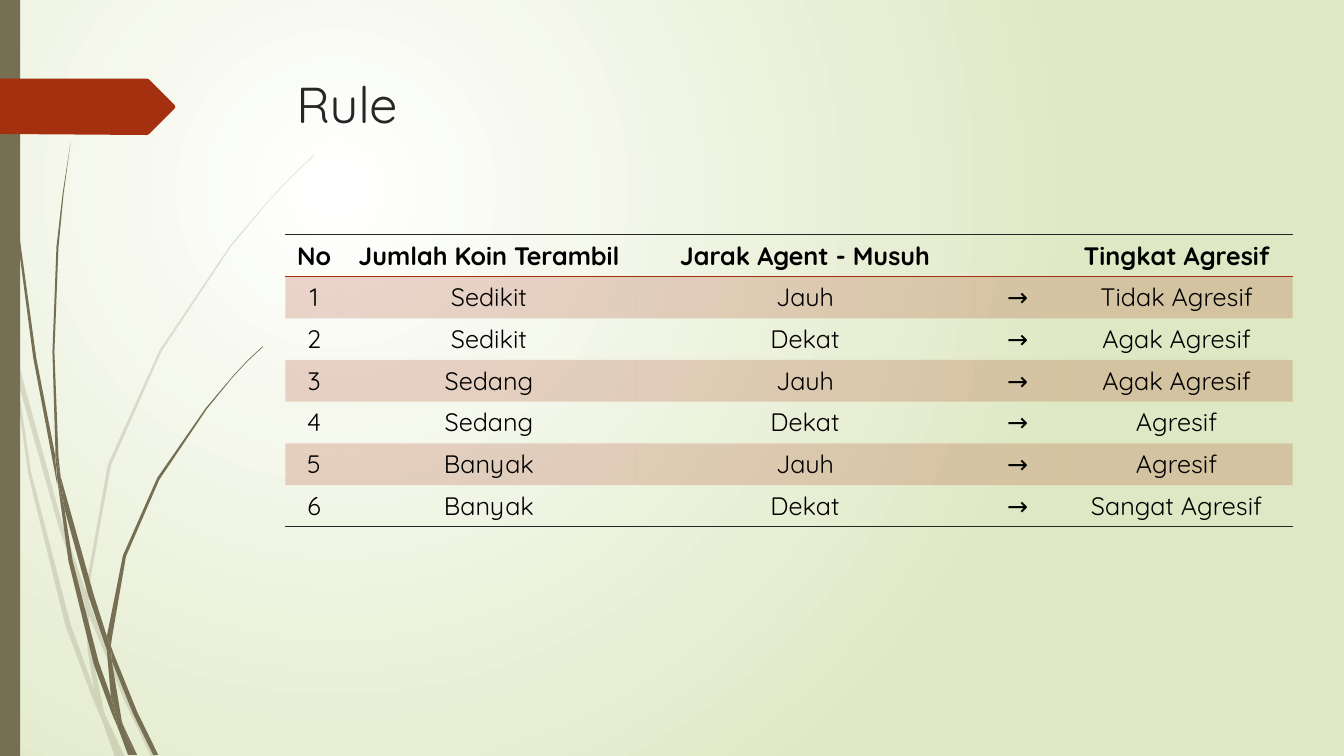
from dataclasses import dataclass

from pptx import Presentation
from pptx.dml.color import RGBColor
from pptx.enum.shapes import MSO_SHAPE
from pptx.enum.text import MSO_ANCHOR, PP_ALIGN
from pptx.oxml import parse_xml
from pptx.oxml.ns import nsdecls, qn
from pptx.shapes.autoshape import Shape
from pptx.slide import Slide
from pptx.table import _Cell
from pptx.util import Inches, Pt
from lxml import etree

RECTANGLE = MSO_SHAPE.RECTANGLE
TOP, MIDDLE = MSO_ANCHOR.TOP, MSO_ANCHOR.MIDDLE
LEFT, CENTER = PP_ALIGN.LEFT, PP_ALIGN.CENTER
PLAIN_TABLE_STYLE = "{2D5ABB26-0587-4C30-8999-92F81FD0307C}"


@dataclass(frozen=True)
class Theme:
    font: str = "Quicksand"
    title_size: int = 36
    table_size: int = 18
    title: str = "262626"
    text: str = "000000"
    accent: str = "A53010"
    rule: str = "262626"
    grass: str = "766F54"
    glow: str = "FFFFFF"
    meadow: str = "DFE8C4"
    faint: int = 20


@dataclass(frozen=True)
class Outline:
    points: tuple[tuple[float, float], ...]
    color: str
    opacity: int = 100


THEME = Theme()

PALE_BLADES = (
    ((0.11, 3.5), (0.09, 3.22), (0, 2.82), (0, 2.99), (0.1, 3.44)),
    ((0.58, 5.22), (0.84, 5.99), (0.85, 5.86), (0.62, 5.2), (0.14, 3.45), (0.17, 3.76)),
    ((0.92, 6.07), (0.88, 5.96), (0.88, 6.1), (1.23, 6.94), (1.5, 7.51), (1.55, 7.51),
     (1.27, 6.92)),
    ((1.19, 7.51), (1.24, 7.51), (1.05, 7.11)),
    ((0.93, 6.83), (0.7, 6.19), (0.31, 4.69), (0.17, 3.76), (0.11, 3.5), (0.28, 4.7),
     (0.65, 6.21), (0.92, 6.93), (1.01, 7.14), (0.99, 7.07)),
    ((0.84, 5.99), (0.87, 6.46), (0.93, 6.83), (0.96, 6.92), (1.05, 7.11), (1.03, 7.06),
     (0.91, 6.46), (0.88, 6.1), (0.88, 6.08)),
    ((0.88, 5.84), (1.1, 4.62), (1.6, 3.49), (2.29, 2.45), (2.68, 1.98), (2.9, 1.75),
     (3.12, 1.54), (3.12, 1.53), (2.89, 1.75), (2.68, 1.97), (2.28, 2.44), (1.58, 3.48),
     (1.07, 4.61), (0.85, 5.84), (0.85, 5.86), (0.88, 5.96)),
    ((1.01, 7.14), (1.14, 7.51), (1.19, 7.51)),
    ((0.88, 6.08), (0.88, 6.1), (0.88, 5.96), (0.85, 5.86), (0.84, 5.99)),
    ((0.96, 6.92), (0.93, 6.83), (0.99, 7.07), (1.01, 7.14), (1.19, 7.51), (1.05, 7.11)),
)
DARK_BLADES = (
    ((0.07, 1.1), (0.17, 2.33), (0.33, 3.55), (0.56, 4.77), (0.57, 4.81), (0.55, 4.57),
     (0.55, 4.53), (0.36, 3.55), (0.19, 2.32), (0.08, 1.09), (0.05, 0.48), (0.04, 0),
     (0.03, 0), (0.04, 0.48)),
    ((0.88, 5.92), (1.06, 6.45), (1.06, 6.31), (0.93, 5.9), (0.6, 4.72), (0.64, 5.05)),
    ((1.13, 6.49), (1.1, 6.41), (1.11, 6.56), (1.32, 7.08), (1.52, 7.49), (1.57, 7.49),
     (1.36, 7.06)),
    ((1.1, 6.91), (0.98, 6.57), (0.72, 5.56), (0.64, 5.05), (0.57, 4.77), (0.68, 5.57),
     (0.93, 6.59), (1.11, 7.08), (1.17, 7.22), (1.16, 7.17)),
    ((0.6, 4.72), (0.58, 4.53), (0.54, 3.49), (0.58, 2.45), (0.63, 1.93), (0.7, 1.41),
     (0.62, 1.93), (0.56, 2.45), (0.52, 3.49), (0.55, 4.49)),
    ((1.33, 7.49), (1.36, 7.49), (1.22, 7.19)),
    ((0.57, 4.77), (0.64, 5.05), (0.6, 4.72), (0.55, 4.49), (0.55, 4.53)),
    ((1.11, 6.33), (1.25, 5.52), (1.58, 4.76), (2.05, 4.06), (2.31, 3.74), (2.45, 3.59),
     (2.61, 3.44), (2.6, 3.44), (2.45, 3.58), (2.31, 3.73), (2.04, 4.05), (1.56, 4.74),
     (1.22, 5.51), (1.06, 6.31), (1.1, 6.41)),
    ((1.17, 7.22), (1.27, 7.49), (1.31, 7.49)),
    ((1.06, 6.45), (1.1, 6.91), (1.16, 7.06), (1.22, 7.19), (1.21, 7.16), (1.11, 6.56),
     (1.09, 6.51)),
    ((1.06, 6.45), (1.09, 6.51), (1.11, 6.56), (1.1, 6.41), (1.06, 6.31)),
    ((1.16, 7.06), (1.1, 6.91), (1.16, 7.17), (1.17, 7.22), (1.3, 7.49), (1.33, 7.49),
     (1.22, 7.19)),
)
TAG = ((0, 0.78), (1.46, 0.78), (1.48, 0.79), (1.73, 1.04), (1.74, 1.06), (1.73, 1.08),
       (1.48, 1.33), (1.46, 1.34), (0, 1.33))

HEADER = ("No", "Jumlah Koin Terambil", "Jarak Agent - Musuh", "", "Tingkat Agresif")
RULES = (
    ("Sedikit", "Jauh", "Tidak Agresif"),
    ("Sedikit", "Dekat", "Agak Agresif"),
    ("Sedang", "Jauh", "Agak Agresif"),
    ("Sedang", "Dekat", "Agresif"),
    ("Banyak", "Jauh", "Agresif"),
    ("Banyak", "Dekat", "Sangat Agresif"),
)
COLUMN_WIDTHS = (0.57, 2.9, 3.37, 0.85, 2.3)
ROW_HEIGHT = 0.41


def set_opacity(element: etree._Element, percent: int) -> None:
    for color in element.iter(qn("a:srgbClr")):
        etree.SubElement(color, qn("a:alpha"), val=str(percent * 1000))


def paint(shape: Shape, color: str) -> None:
    shape.shadow.inherit = False
    shape.fill.solid()
    shape.fill.fore_color.rgb = RGBColor.from_string(color)
    shape.line.fill.background()


def draw_outline(page: Slide, outline: Outline) -> None:
    start, *rest = [(Inches(x), Inches(y)) for x, y in outline.points]
    builder = page.shapes.build_freeform(*start)
    builder.add_line_segments(rest, close=True)
    shape = builder.convert_to_shape()
    paint(shape, outline.color)
    if outline.opacity < 100:
        set_opacity(shape.element, outline.opacity)


def draw_background(page: Slide) -> None:
    fill = page.background.fill
    fill.gradient()
    for stop, position, color in zip(fill.gradient_stops, (0, 1), (THEME.glow, THEME.meadow)):
        stop.position = position
        stop.color.rgb = RGBColor.from_string(color)
    linear = next(page.element.iter(qn("a:lin")))
    linear.getparent().replace(linear, parse_xml(
        f'<a:path {nsdecls("a")} path="circle">'
        '<a:fillToRect l="50000" t="50000" r="100000" b="100000"/></a:path>'))


def draw_title(page: Slide, text: str) -> None:
    title = page.shapes.title
    title.left, title.top = Inches(2.84), Inches(0.68)
    title.width, title.height = Inches(9.75), Inches(1.4)
    frame = title.text_frame
    frame.text = text
    frame.vertical_anchor = TOP
    para = frame.paragraphs[0]
    para.alignment = LEFT
    font = para.runs[0].font
    font.name, font.size = THEME.font, Pt(THEME.title_size)
    font.color.rgb = RGBColor.from_string(THEME.title)


def set_border(cell: _Cell, side: str, color: str) -> None:
    properties = cell._tc.get_or_add_tcPr()
    position = len(properties.findall(qn("a:lnT")))
    properties.insert(position, parse_xml(
        f'<a:{side} {nsdecls("a")} w="{Pt(1)}"><a:solidFill>'
        f'<a:srgbClr val="{color}"/></a:solidFill></a:{side}>'))


def fill_cell(cell: _Cell, text: str, bold: bool, banded: bool) -> None:
    cell.text = text
    cell.margin_left = cell.margin_right = Inches(0.08)
    cell.margin_top = cell.margin_bottom = Inches(0.05)
    cell.vertical_anchor = MIDDLE
    para = cell.text_frame.paragraphs[0]
    para.alignment = CENTER
    para.font.size = Pt(THEME.table_size)
    for span in para.runs:
        span.font.name, span.font.size, span.font.bold = THEME.font, Pt(THEME.table_size), bold
        span.font.color.rgb = RGBColor.from_string(THEME.text)
    if banded:
        cell.fill.solid()
        cell.fill.fore_color.rgb = RGBColor.from_string(THEME.accent)
        set_opacity(cell._tc.get_or_add_tcPr(), THEME.faint)
    else:
        cell.fill.background()


def draw_table(page: Slide) -> None:
    rows = [HEADER] + [(str(number), coins, distance, "→", level)
                       for number, (coins, distance, level) in enumerate(RULES, 1)]
    frame = page.shapes.add_table(len(rows), len(HEADER), Inches(2.83), Inches(2.33),
                                  Inches(sum(COLUMN_WIDTHS)), Inches(ROW_HEIGHT * len(rows)))
    table = frame.table
    next(frame.element.iter(qn("a:tableStyleId"))).text = PLAIN_TABLE_STYLE
    for column, width in zip(table.columns, COLUMN_WIDTHS):
        column.width = Inches(width)
    for row_index, values in enumerate(rows):
        for column_index, value in enumerate(values):
            cell = table.cell(row_index, column_index)
            fill_cell(cell, value, row_index == 0, row_index % 2 == 1)
            if row_index == 0:
                set_border(cell, "lnT", THEME.rule)
                set_border(cell, "lnB", THEME.accent)
            elif row_index == len(rows) - 1:
                set_border(cell, "lnB", THEME.rule)


def main() -> None:
    deck = Presentation()
    deck.slide_width, deck.slide_height = Inches(13.33), Inches(7.5)
    page = deck.slides.add_slide(deck.slide_layouts[5])
    draw_background(page)
    for points in PALE_BLADES:
        draw_outline(page, Outline(points, THEME.grass, THEME.faint))
    for points in DARK_BLADES:
        draw_outline(page, Outline(points, THEME.grass))
    paint(page.shapes.add_shape(RECTANGLE, 0, 0, Inches(0.2), Inches(7.5)), THEME.grass)
    draw_outline(page, Outline(TAG, THEME.accent))
    draw_title(page, "Rule")
    draw_table(page)
    deck.save("out.pptx")


if __name__ == "__main__":
    main()
